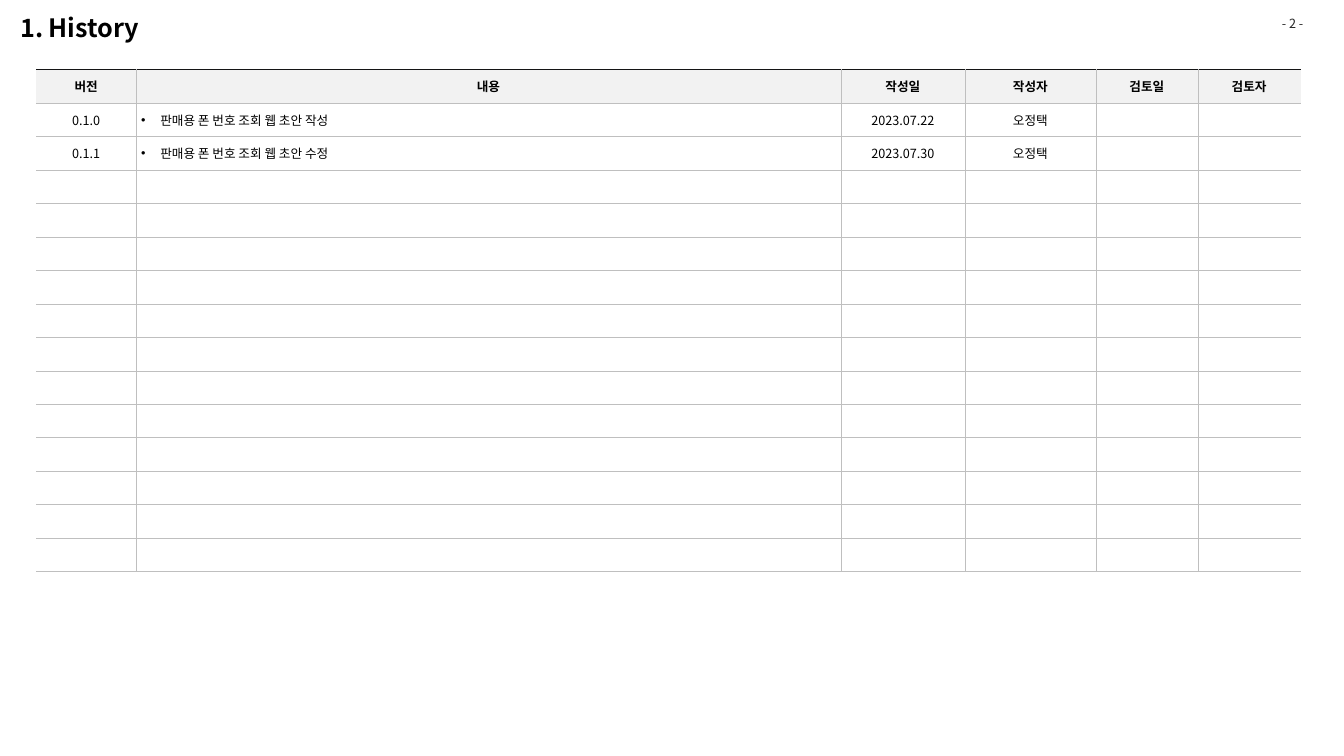
from dataclasses import dataclass

from lxml import etree
from pptx import Presentation
from pptx import util as u
from pptx.dml.color import RGBColor
from pptx.enum import text
from pptx.oxml.ns import qn


@dataclass(frozen=True)
class Theme:
    font: str = "Noto Sans CJK KR"
    ink: str = "000000"
    soft: str = "262626"
    edge: str = "141415"
    grid: str = "BFBFBF"
    head: str = "F2F2F2"
    paper: str = "FFFFFF"
    title: int = 18
    body: int = 9


THEME = Theme()
MID = text.MSO_ANCHOR.MIDDLE
LEFT, CENTER = text.PP_ALIGN.LEFT, text.PP_ALIGN.CENTER
COLS = [99, 699, 123, 130, 101, 102]
ROWS = 15
DATA = [
    ["버전", "내용", "작성일", "작성자", "검토일", "검토자"],
    ["0.1.0", "판매용 폰 번호 조회 웹 초안 작성", "2023.07.22", "오정택"],
    ["0.1.1", "판매용 폰 번호 조회 웹 초안 수정", "2023.07.30", "오정택"],
]


def px(n):
    return u.Emu(n * 9144)


def apply(item, values):
    for name, value in values.items():
        setattr(item, name, value)


def write(para, words, size, color, bold=False, align=CENTER):
    para.alignment = align
    run = para.add_run()
    run.text = words
    apply(run.font, {"name": THEME.font, "size": u.Pt(size), "bold": bold})
    run.font.color.rgb = RGBColor.from_string(color)
    east = etree.SubElement(run.font._element, qn("a:ea"))
    east.set("typeface", THEME.font)


def place(shape, left, top, width, height):
    apply(shape, {"left": px(left), "top": px(top),
                  "width": px(width), "height": px(height)})
    apply(shape.text_frame, {"vertical_anchor": MID, "word_wrap": True,
                             "auto_size": text.MSO_AUTO_SIZE.NONE})


def bullet(para):
    props = para._p.get_or_add_pPr()
    apply_xml = {"marL": str(px(19)), "indent": str(px(-19))}
    for name, value in apply_xml.items():
        props.set(name, value)
    etree.SubElement(props, qn("a:buFont")).set("typeface", "Arial")
    etree.SubElement(props, qn("a:buChar")).set("char", "•")


def border(cell, side, color, width):
    line = etree.SubElement(cell._tc.get_or_add_tcPr(), qn(f"a:ln{side}"))
    line.set("w", str(u.Pt(width)))
    if color is None:
        etree.SubElement(line, qn("a:noFill"))
    else:
        fill = etree.SubElement(line, qn("a:solidFill"))
        etree.SubElement(fill, qn("a:srgbClr")).set("val", color)


def style(cell, row, col):
    sides = {
        "L": (THEME.grid if col else None, 0.25),
        "R": (THEME.grid if col < len(COLS) - 1 else None, 0.25),
        "T": (THEME.grid, 0.25) if row else (THEME.edge, 1),
        "B": (THEME.grid, 0.25),
    }
    for side, (color, width) in sides.items():
        border(cell, side, color, width)
    cell.fill.solid()
    cell.fill.fore_color.rgb = RGBColor.from_string(THEME.paper if row else THEME.head)
    pads = ("margin_left", "margin_right", "margin_top", "margin_bottom")
    apply(cell, dict.fromkeys(pads, px(5)))
    cell.vertical_anchor = MID


def fill(cell, row, col, words):
    style(cell, row, col)
    para = cell.text_frame.paragraphs[0]
    if not words:
        end = etree.SubElement(para._p, qn("a:endParaRPr"))
        end.set("sz", str(THEME.body * 100))
        return
    item = row > 0 and col == 1
    write(para, words, THEME.body, THEME.ink, row == 0, LEFT if item else CENTER)
    if item:
        bullet(para)


def table(slide):
    frame = slide.shapes.add_table(ROWS, len(COLS), px(36), px(69),
                                   px(sum(COLS)), px(498))
    grid = frame.table
    apply(grid, {"first_row": False, "horz_banding": False})
    for col, width in enumerate(COLS):
        grid.columns[col].width = px(width)
    for row in range(ROWS):
        line = DATA[row] if row < len(DATA) else []
        for col in range(len(COLS)):
            fill(grid.cell(row, col), row, col, line[col] if col < len(line) else "")


def title(slide, words):
    shape = slide.shapes.title
    place(shape, 10, 4, 866, 47)
    write(shape.text_frame.paragraphs[0], words, THEME.title, THEME.ink, True, LEFT)


def page(slide, words):
    shape = slide.shapes.add_textbox(0, 0, 0, 0)
    place(shape, 1239, 9, 86, 28)
    write(shape.text_frame.paragraphs[0], words, THEME.body, THEME.soft)


def main():
    deck = Presentation()
    apply(deck, {"slide_width": px(1333), "slide_height": px(750)})
    slide = deck.slides.add_slide(deck.slide_layouts[5])
    page(slide, "- 2 -")
    title(slide, "1. History")
    table(slide)
    deck.save("out.pptx")


if __name__ == "__main__":
    main()
